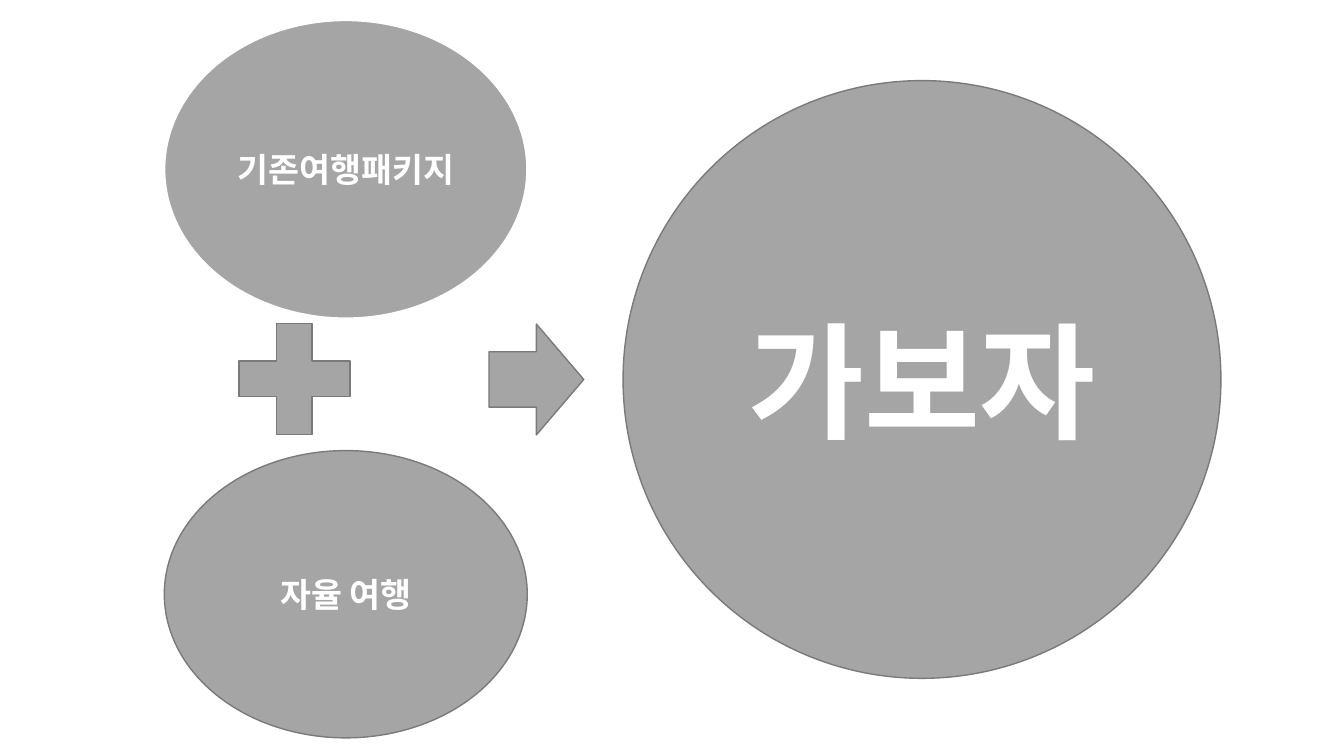
"""Build a slide that adds two kinds of travel together into one service."""
from dataclasses import dataclass

import lxml.etree
import pptx
import pptx.dml.color
import pptx.enum.shapes
import pptx.enum.text
import pptx.oxml.ns
import pptx.util

Inches = pptx.util.Inches
Pt = pptx.util.Pt
Color = pptx.dml.color.RGBColor.from_string
Preset = pptx.enum.shapes.MSO_SHAPE


@dataclass(frozen=True)
class Theme:
    """Colours, type sizes and font of the slide."""
    fill: str = "A5A5A5"
    outline: str = "7A7A7A"
    white: str = "FFFFFF"
    font: str = "Noto Sans CJK KR"
    source_size: int = 24
    result_size: int = 90


THEME = Theme()


def add_figure(slide, preset, box, outline=THEME.outline, line_width=1):
    """Add a grey preset shape in the given box, in inches."""
    shape = slide.shapes.add_shape(preset, *(Inches(length) for length in box))
    shape.shadow.inherit = False
    shape.fill.solid()
    shape.fill.fore_color.rgb = Color(THEME.fill)
    shape.line.color.rgb = Color(outline)
    shape.line.width = Pt(line_width)
    return shape


def set_label(shape, text, size, inset):
    """Write a centred bold white label in a shape."""
    frame = shape.text_frame
    frame.text = text
    frame.word_wrap = True
    frame.vertical_anchor = pptx.enum.text.MSO_ANCHOR.MIDDLE
    frame.margin_left = frame.margin_right = Inches(inset)
    frame.margin_top = frame.margin_bottom = Inches(inset)
    paragraph = frame.paragraphs[0]
    paragraph.alignment = pptx.enum.text.PP_ALIGN.CENTER
    font = paragraph.runs[0].font
    font.name = THEME.font
    font.size = Pt(size)
    font.bold = True
    font.color.rgb = Color(THEME.white)
    properties = paragraph.runs[0]._r.get_or_add_rPr()
    east_asian = lxml.etree.SubElement(properties, pptx.oxml.ns.qn("a:ea"))
    east_asian.set("typeface", THEME.font)


def add_sources(slide, box):
    """Stack the two travel kinds at the box's ends with a plus between."""
    left, top, width, height = box
    package_height, free_height, plus_size = 2.96, 2.85, 1.5
    package = add_figure(slide, Preset.OVAL, (left, top, width, package_height), THEME.white, 1.5)
    set_label(package, "기존여행패키지", THEME.source_size, 0.06)
    add_figure(slide, Preset.MATH_PLUS, (left + 0.54, top + 2.81, plus_size, plus_size))
    free_top = top + height - free_height
    free = add_figure(slide, Preset.OVAL, (left, free_top, width, free_height))
    set_label(free, "자율 여행", THEME.source_size, 0.06)


def add_result(slide, box):
    """Add an arrow at the left of the box and the result circle at its right."""
    left, top, width, diameter = box
    arrow_width, arrow_height = 0.94, 1.1
    arrow_top = top + (diameter - arrow_height) / 2
    add_figure(slide, Preset.RIGHT_ARROW, (left, arrow_top, arrow_width, arrow_height))
    circle_left = left + width - diameter
    circle = add_figure(slide, Preset.OVAL, (circle_left, top, diameter, diameter))
    set_label(circle, "가보자", THEME.result_size, 0.09)


def main():
    """Build and save the presentation."""
    presentation = pptx.Presentation()
    presentation.slide_width = Inches(13.33)
    presentation.slide_height = Inches(7.5)
    blank_layout = presentation.slide_layouts[6]
    slide = presentation.slides.add_slide(blank_layout)
    add_sources(slide, (1.63, 0.2, 3.6, 7.12))
    add_result(slide, (4.85, 0.8, 7.26, 5.93))
    presentation.save("out.pptx")


main()
